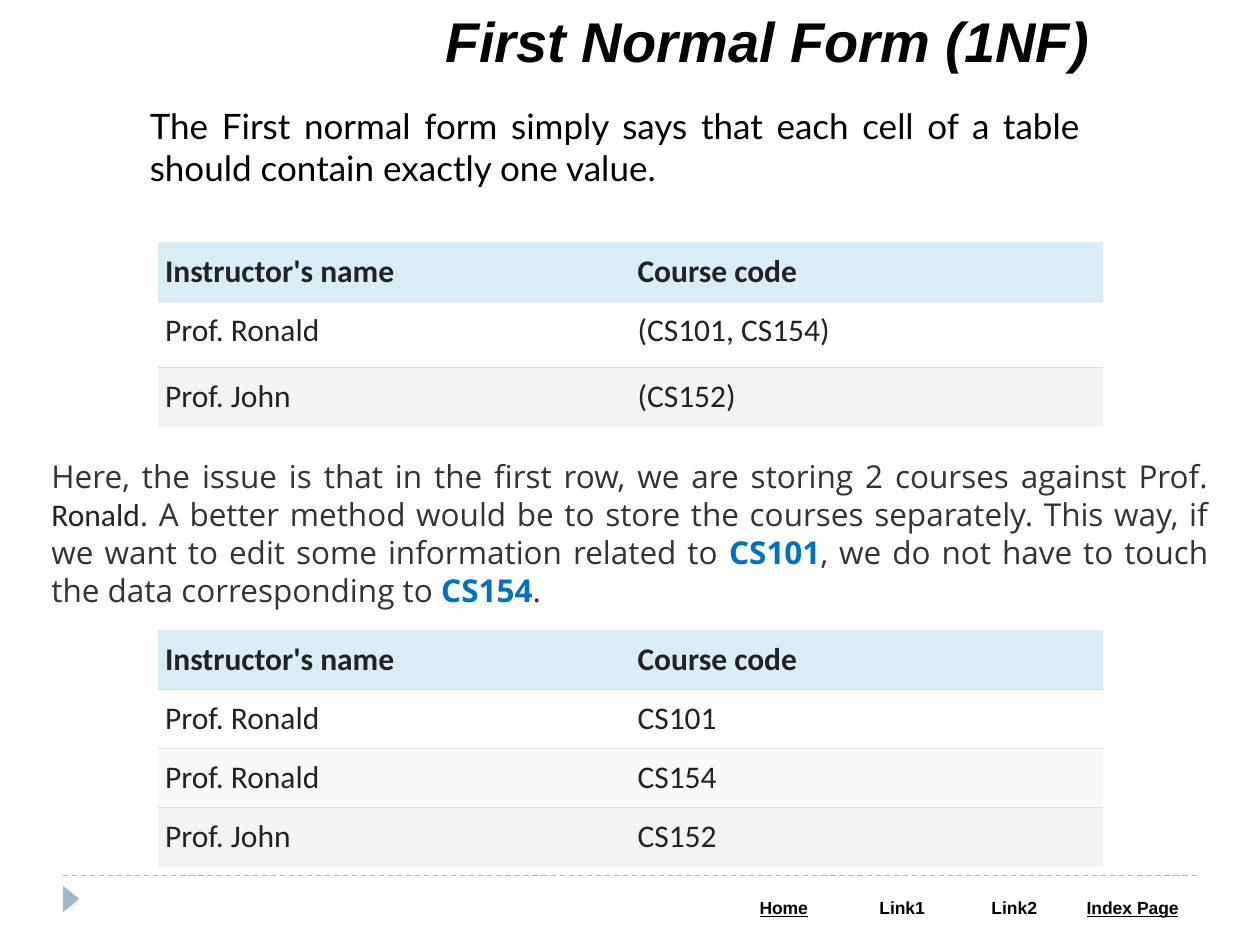
from dataclasses import dataclass
from typing import Any, NamedTuple

from lxml.etree import SubElement
from pptx import Presentation
from pptx.dml.color import RGBColor
from pptx.enum.dml import MSO_LINE_DASH_STYLE as Dash
from pptx.enum.shapes import MSO_CONNECTOR as Connector, MSO_SHAPE as Preset
from pptx.enum.text import MSO_ANCHOR as Anchor, MSO_AUTO_SIZE as AutoSize, PP_ALIGN as Align
from pptx.oxml.ns import qn
from pptx.util import Inches, Pt


@dataclass(frozen=True)
class Theme:
    white: str = "FFFFFF"
    black: str = "000000"
    accent: str = "9FB8CD"
    header: str = "D9EDF7"
    stripe: str = "F9F9F9"
    last_row: str = "F3F3F3"
    rule: str = "DDDDDD"
    cell_text: str = "222222"
    body_text: str = "333333"
    code: str = "0070C0"
    title_size: int = 32
    lead_size: int = 20
    body_size: int = 18
    link_size: int = 10


THEME = Theme()
PLAIN_TABLE_STYLE = "{2D5ABB26-0587-4C30-8999-92F81FD0307C}"


class Run(NamedTuple):
    text: str
    size: int
    name: str
    color: str
    bold: bool = False
    italic: bool = False
    underline: bool = False


class Box(NamedTuple):
    left: float
    top: float
    width: float
    height: float


class CourseTable(NamedTuple):
    box: Box
    row_heights: list[float]
    rows: list[tuple[str, str]]
    fills: list[str]


def body(text: str) -> Run:
    """Return a run of the explanation text."""
    return Run(text, THEME.body_size, "Open Sans", THEME.body_text)


def code(text: str) -> Run:
    """Return a highlighted course code."""
    return Run(text, THEME.body_size, "Open Sans", THEME.code, bold=True)


LEAD = [Run("The First normal form simply says that each cell of a table should contain "
            "exactly one value.", THEME.lead_size, "Lato", THEME.black)]
EXPLANATION = [
    body("Here, the issue is that in the first row, we are storing 2 courses against Prof. "),
    Run("Ronald", THEME.body_size, "Calibri", THEME.cell_text),
    body(". A better method would be to store the courses separately. This way, if we want "
         "to edit some information related to "),
    code("CS101"),
    body(", we do not have to touch the data corresponding to "),
    code("CS154"),
    body("."),
]
HEADINGS = ("Instructor's name", "Course code")
COURSE_TABLES = [
    CourseTable(Box(1.25, 1.92, 7.5, 1.46), [0.47, 0.53, 0.47],
                [HEADINGS, ("Prof. Ronald", "(CS101, CS154)"), ("Prof. John", "(CS152)")],
                [THEME.header, THEME.white, THEME.last_row]),
    CourseTable(Box(1.25, 5, 7.5, 1.87), [0.47] * 4,
                [HEADINGS, ("Prof. Ronald", "CS101"), ("Prof. Ronald", "CS154"),
                 ("Prof. John", "CS152")],
                [THEME.header, THEME.white, THEME.stripe, THEME.last_row]),
]
LINKS = [("Home", 0.94, True), ("Link1", 0.94, False), ("Link2", 0.84, False),
         ("Index Page", 1.04, True)]


def apply(target: Any, **values: Any) -> None:
    """Set each named attribute on the target."""
    for name, value in values.items():
        setattr(target, name, value)


def paint(target: Any, color: str) -> None:
    """Give a shape or cell a solid fill."""
    target.fill.solid()
    target.fill.fore_color.rgb = RGBColor.from_string(color)


def write(text_frame: Any, runs: list[Run], alignment: Any) -> None:
    """Write formatted runs into the first paragraph."""
    paragraph = text_frame.paragraphs[0]
    paragraph.alignment = alignment
    for item in runs:
        run = paragraph.add_run()
        run.text = item.text
        apply(run.font, size=Pt(item.size), name=item.name, bold=item.bold,
              italic=item.italic, underline=item.underline)
        run.font.color.rgb = RGBColor.from_string(item.color)


def add_text(slide: Any, box: Box, runs: list[Run]) -> None:
    """Add a justified, wrapping text box."""
    text_frame = slide.shapes.add_textbox(*map(Inches, box)).text_frame
    apply(text_frame, word_wrap=True, auto_size=AutoSize.SHAPE_TO_FIT_TEXT)
    write(text_frame, runs, Align.JUSTIFY)


def add_plain_table(slide: Any, box: Box, widths: list[float], heights: list[float]) -> Any:
    """Add a table without grid or banding."""
    table = slide.shapes.add_table(len(heights), len(widths), *map(Inches, box)).table
    apply(table, first_row=False, horz_banding=False)
    style = next(table._tbl.iter(qn("a:tableStyleId")))
    style.text = PLAIN_TABLE_STYLE
    for column, width in zip(table.columns, widths):
        column.width = Inches(width)
    for row, height in zip(table.rows, heights):
        row.height = Inches(height)
    return table


def add_border(cell: Any, side: str) -> None:
    """Draw a thin rule on one side of a cell, before its fill is set."""
    line = SubElement(cell._tc.get_or_add_tcPr(), qn(f"a:{side}"), w=str(Pt(0.75)))
    SubElement(SubElement(line, qn("a:solidFill")), qn("a:srgbClr"), val=THEME.rule)


def add_course_table(slide: Any, data: CourseTable) -> None:
    """Add an instructor table with rules between its rows."""
    table = add_plain_table(slide, data.box, [data.box.width / 2] * 2, data.row_heights)
    for index, (texts, fill) in enumerate(zip(data.rows, data.fills)):
        is_header = index == 0
        for cell, text in zip(table.rows[index].cells, texts):
            apply(cell, margin_left=Inches(0.06), margin_right=Inches(0.06),
                  margin_top=Inches(0.08), margin_bottom=Inches(0.08),
                  vertical_anchor=Anchor.MIDDLE if is_header else Anchor.TOP)
            if not is_header:
                add_border(cell, "lnT")
            if index < len(data.rows) - 1:
                add_border(cell, "lnB")
            paint(cell, fill)
            write(cell.text_frame, [Run(text, THEME.body_size, "Calibri", THEME.cell_text,
                                        bold=is_header)], Align.LEFT)


def add_footer(slide: Any) -> None:
    """Add the marker, dashed rule and navigation links."""
    marker = slide.shapes.add_shape(Preset.ISOSCELES_TRIANGLE, *map(Inches, (0.46, 7.07, 0.21, 0.13)))
    marker.rotation = 90
    marker.shadow.inherit = False
    paint(marker, THEME.accent)
    marker.line.fill.background()
    rule = slide.shapes.add_connector(Connector.STRAIGHT, *map(Inches, (0.5, 6.95, 9.5, 6.95)))
    apply(rule.line, width=Pt(0.75), dash_style=Dash.DASH)
    rule.line.color.rgb = RGBColor.from_string(THEME.accent)
    SubElement(rule._element.spPr, qn("a:effectLst"))
    table = add_plain_table(slide, Box(5.75, 7.08, 3.75, 0.27),
                            [width for _, width, _ in LINKS], [0.27])
    for cell, (text, _, underline) in zip(table.rows[0].cells, LINKS):
        paint(cell, THEME.white)
        write(cell.text_frame, [Run(text, THEME.link_size, "Arial", THEME.black, bold=True,
                                    underline=underline)], Align.CENTER)


def add_title(slide: Any) -> None:
    """Place and format the slide title."""
    title = slide.shapes.title
    apply(title, left=Inches(1.25), top=Inches(0), width=Inches(7.5), height=Inches(0.64))
    paint(title, THEME.white)
    apply(title.text_frame, word_wrap=True, auto_size=AutoSize.SHAPE_TO_FIT_TEXT,
          vertical_anchor=Anchor.TOP)
    write(title.text_frame, [Run("First Normal Form (1NF)", THEME.title_size, "Arial",
                                 THEME.black, bold=True, italic=True)], Align.RIGHT)


def main() -> None:
    """Build and save the presentation."""
    presentation = Presentation()
    apply(presentation, slide_width=Inches(10), slide_height=Inches(7.5))
    slide = presentation.slides.add_slide(presentation.slide_layouts[5])
    add_footer(slide)
    add_title(slide)
    add_text(slide, Box(1.09, 0.78, 7.58, 0.77), LEAD)
    add_text(slide, Box(0.31, 3.58, 9.38, 1.31), EXPLANATION)
    for data in COURSE_TABLES:
        add_course_table(slide, data)
    presentation.save("out.pptx")


if __name__ == "__main__":
    main()
